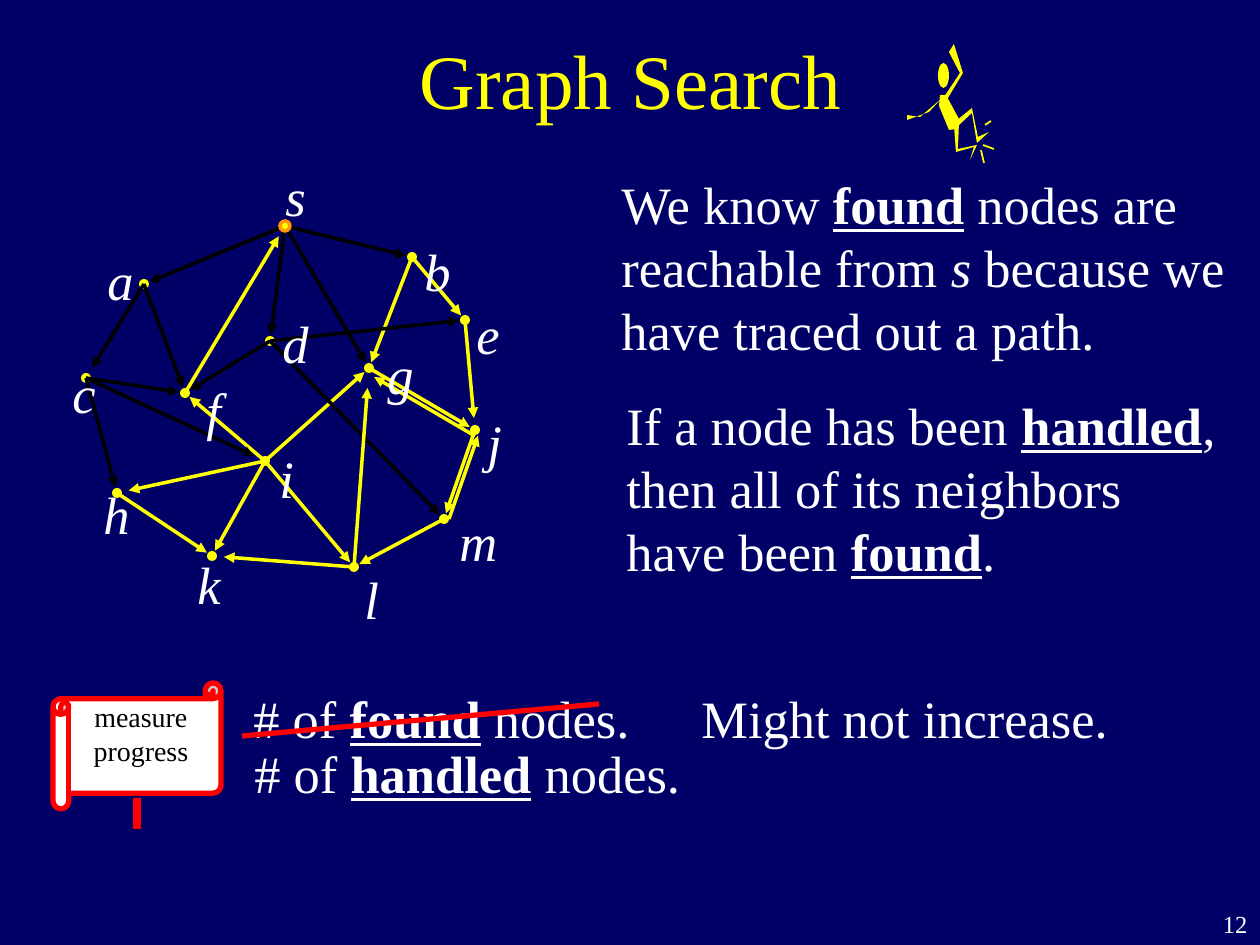
import math

import pptx
import pptx.dml.color
import pptx.enum.shapes
import pptx.enum.text
import pptx.oxml
import pptx.oxml.ns
import pptx.util

SHAPE = pptx.enum.shapes.MSO_SHAPE
ALIGN = pptx.enum.text.PP_ALIGN
ANCHOR = pptx.enum.text.MSO_ANCHOR
YELLOW, WHITE, BLACK, RED, ORANGE, NAVY = "FFFF00", "FFFFFF", "000000", "FF0000", "FF9900", "000066"
DOT = 10

# node: centre x, centre y, label left, label top
NODES = {
    "s": (285, 226, 273, 158), "a": (144, 284, 95, 242), "c": (86, 378, 60, 355),
    "h": (117, 493, 91, 476), "k": (212, 556, 185, 546), "f": (185, 393, 194, 372),
    "i": (265, 461, 267, 440), "l": (354, 567, 352, 561), "m": (444, 519, 447, 503),
    "j": (475, 430, 475, 404), "e": (465, 320, 464, 296), "b": (412, 257, 412, 233),
    "g": (369, 368, 375, 336), "d": (270, 341, 270, 305),
}
NEIGHBORS = {
    "s": "adgb", "b": "ge", "i": "gklhf", "d": "emf", "g": "j", "e": "j", "a": "fc",
    "c": "ihf", "m": "lj", "j": "gm", "l": "gk", "f": "s", "h": "k",
}
HANDLED = "sacd"
SHORT_OF_TARGET = ("fs", "lg", "lk", "ih", "ac", "ci", "ej")
SIDE_SHIFTS = {"mj": (5, 0), "jg": (0, 6)}

LIMBS = [
    [(944, 97), (960, 73), (949, 52), (954, 44), (963, 73), (948, 98)],
    [(907, 115), (920, 117), (941, 99), (929, 112), (907, 120)],
    [(940, 95), (946, 95), (959, 119), (957, 129), (949, 130), (939, 106)],
    [(956, 121), (972, 108), (978, 137), (989, 132), (977, 143), (972, 113), (957, 127)],
    [(954, 125), (959, 125), (958, 149), (977, 145), (970, 160), (974, 147), (956, 152)],
]
SPARKS = [((983, 145), (994, 149)), ((981, 150), (984, 163)), ((985, 125), (991, 121))]


def px(length):
    """Turn pixels at 126 to the inch into EMU."""
    return pptx.util.Emu(round(length * 914400 / 126))


def rgb(colour):
    """Turn a hex string into a colour."""
    return pptx.dml.color.RGBColor.from_string(colour)


def paint(shape, fill, line=None, width=0):
    """Give a shape a flat fill and an optional outline."""
    shape.shadow.inherit = False
    shape.fill.solid()
    shape.fill.fore_color.rgb = rgb(fill)
    if line:
        shape.line.color.rgb = rgb(line)
        shape.line.width = pptx.util.Pt(width)
    else:
        shape.line.fill.background()


def write(frame, runs, size=30, colour=WHITE, align=ALIGN.LEFT):
    """Write styled runs, where b, u and i mark bold, underline and italic."""
    paragraph = frame.paragraphs[0]
    paragraph.alignment = align
    paragraph.font.name = "Times New Roman"
    paragraph.font.size = pptx.util.Pt(size)
    paragraph.font.color.rgb = rgb(colour)
    for words, style in runs:
        for number, line in enumerate(words.split("\n")):
            if number:
                paragraph.add_line_break()
            run = paragraph.add_run()
            run.text = line
            run.font.bold = "b" in style or None
            run.font.underline = "u" in style or None
            run.font.italic = "i" in style or None


def add_text(shapes, box, runs, wrap=False, **look):
    """Add a text box."""
    frame = shapes.add_textbox(*map(px, box)).text_frame
    frame.word_wrap = wrap
    write(frame, runs, **look)


def add_line(shapes, start, end, colour, width, arrow=False):
    """Add a straight line, with an arrowhead if asked."""
    line = shapes.add_connector(pptx.enum.shapes.MSO_CONNECTOR.STRAIGHT, *map(px, (*start, *end)))
    line.line.color.rgb = rgb(colour)
    line.line.width = pptx.util.Pt(width)
    namespace = pptx.oxml.ns.nsdecls("a")
    properties = line._element.spPr
    if arrow:
        head = pptx.oxml.parse_xml(f'<a:tailEnd {namespace} type="triangle"/>')
        properties.find(pptx.oxml.ns.qn("a:ln")).append(head)
    properties.append(pptx.oxml.parse_xml(f"<a:effectLst {namespace}/>"))


def add_dot(shapes, node, **outline):
    """Add the dot of a node."""
    x, y = NODES[node][:2]
    dot = shapes.add_shape(SHAPE.OVAL, *map(px, (x - DOT // 2, y - DOT // 2, DOT, DOT)))
    paint(dot, YELLOW, **outline)


def add_edge(shapes, source, target):
    """Add an arrow that stops a little before its target."""
    edge = source + target
    (x1, y1), (x2, y2) = NODES[source][:2], NODES[target][:2]
    dx, dy = SIDE_SHIFTS.get(edge, (0, 0))
    gap = 2 * DOT if edge == "lg" else DOT + 2 if edge in SHORT_OF_TARGET else DOT // 2 + 1
    keep = 1 - gap / math.hypot(x2 - x1, y2 - y1)
    tip = (x1 + dx + (x2 - x1) * keep, y1 + dy + (y2 - y1) * keep)
    colour = BLACK if source in HANDLED else YELLOW
    add_line(shapes, (x1 + dx, y1 + dy), tip, colour, 2, arrow=True)


def add_graph(shapes):
    """Add dots, arrows and labels of the graph."""
    for node in NODES:
        if node != "s":
            add_dot(shapes, node)
    for source, targets in NEIGHBORS.items():
        for target in targets:
            add_edge(shapes, source, target)
    for node, (_, _, left, top) in NODES.items():
        width = 40 if node in "fijl" else 63 if node == "m" else 51
        add_text(shapes, (left, top, width, 76), [(node, "i")])
    add_dot(shapes, "s", line=ORANGE, width=2)


def add_jumper(shapes):
    """Add the jumping stick figure."""
    figure = shapes.add_group_shape().shapes
    paint(figure.add_shape(SHAPE.OVAL, *map(px, (938, 63, 11, 25))), YELLOW)
    for start, *others in LIMBS:
        builder = figure.build_freeform(*start, scale=px(1))
        builder.add_line_segments(others, close=True)
        paint(builder.convert_to_shape(), YELLOW)
    for start, end in SPARKS:
        add_line(figure, start, end, YELLOW, 1)


def add_sign(shapes):
    """Add the scroll on its post."""
    sign = shapes.add_group_shape().shapes
    scroll = sign.add_shape(SHAPE.HORIZONTAL_SCROLL, *map(px, (53, 683, 168, 126)))
    paint(scroll, WHITE, RED, 3)
    frame = scroll.text_frame
    frame.word_wrap = False
    frame.vertical_anchor = ANCHOR.MIDDLE
    frame.margin_bottom = px(31)
    write(frame, [("measure\nprogress", "")], 16, BLACK, ALIGN.CENTER)
    add_line(sign, (137, 798), (137, 829), RED, 5)


def main():
    """Build the slide and save it."""
    deck = pptx.Presentation()
    deck.slide_width, deck.slide_height = px(1260), px(945)
    slide = deck.slides.add_slide(deck.slide_layouts[5])
    slide.background.fill.solid()
    slide.background.fill.fore_color.rgb = rgb(NAVY)
    shapes = slide.shapes
    title = shapes.title
    title.left, title.top, title.width, title.height = map(px, (95, 0, 1071, 158))
    title.text_frame.vertical_anchor = ANCHOR.MIDDLE
    write(title.text_frame, [("Graph Search", "")], 44, YELLOW, ALIGN.CENTER)
    add_text(shapes, (1197, 903, 63, 42), [("12", "")], size=14, align=ALIGN.RIGHT)
    add_text(shapes, (609, 166, 630, 202), [
        ("We know ", ""), ("found", "bu"), (" nodes are reachable from ", ""), ("s", "i"),
        (" because we have traced out a path.", "")], wrap=True)
    add_text(shapes, (614, 387, 627, 202), [
        ("If a node has been ", ""), ("handled", "bu"),
        (", \nthen all of its neighbors \nhave been ", ""), ("found", "bu"), (".", "")])
    add_jumper(shapes)
    add_sign(shapes)
    for box, state in (((241, 680, 402, 76), "found"), ((242, 735, 451, 76), "handled")):
        add_text(shapes, box, [("# of ", ""), (state, "bu"), (" nodes.", "")])
    add_text(shapes, (689, 680, 432, 76), [("Might not increase.", "")])
    add_line(shapes, (242, 736), (599, 704), RED, 3)
    add_graph(shapes)
    deck.save("out.pptx")


if __name__ == "__main__":
    main()
